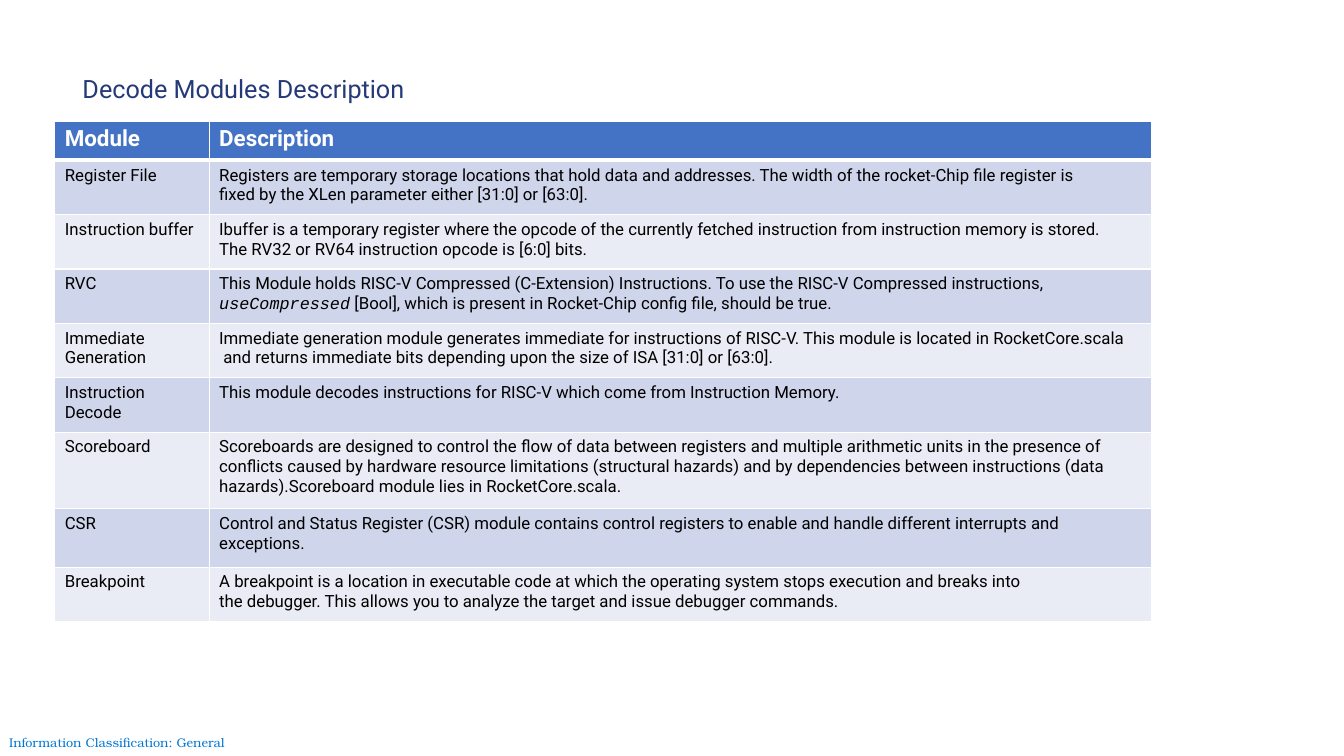
from lxml.etree import SubElement
from pptx import Presentation
from pptx.dml.color import RGBColor
from pptx.enum.text import MSO_ANCHOR as Anchor
from pptx.oxml.ns import qn
from pptx.util import Cm, Pt

WHITE = RGBColor(0xFF, 0xFF, 0xFF)
BLACK = RGBColor(0x00, 0x00, 0x00)
NAVY = RGBColor(0x24, 0x39, 0x78)
HEADER_BLUE = RGBColor(0x44, 0x72, 0xC4)
BANDS = (RGBColor(0xCF, 0xD5, 0xEA), RGBColor(0xE9, 0xEB, 0xF5))
FOOTER_BLUE = RGBColor(0x00, 0x78, 0xD7)

COLUMN_WIDTHS = (3.89, 23.75)
HEADER_HEIGHT = 0.99
ROW_HEIGHT = 1.37

# Module, description paragraphs, row height; backticks enclose code
MODULES = [
    ("Register File",
     ["Registers are temporary storage locations that hold data and addresses. "
      "The width of the rocket-Chip file register is",
      "fixed by the XLen parameter either [31:0] or [63:0]."], ROW_HEIGHT),
    ("Instruction buffer",
     ["Ibuffer is a temporary register where the opcode of the currently fetched "
      "instruction from instruction memory is stored.\n"
      "The RV32 or RV64 instruction opcode is [6:0] bits."], ROW_HEIGHT),
    ("RVC",
     ["This Module holds RISC-V Compressed (C-Extension) Instructions. "
      "To use the RISC-V Compressed instructions,\n"
      "`useCompressed` [Bool], which is present in Rocket-Chip config file, "
      "should be true."], ROW_HEIGHT),
    ("Immediate Generation",
     ["Immediate generation module generates immediate for instructions of RISC-V. "
      "This module is located in RocketCore.scala\n"
      " and returns immediate bits depending upon the size of ISA [31:0] or [63:0]."],
     ROW_HEIGHT),
    ("Instruction Decode",
     ["This module decodes instructions for RISC-V which come from "
      "Instruction Memory."], ROW_HEIGHT),
    ("Scoreboard",
     ["Scoreboards are designed to control the flow of data between registers and "
      "multiple arithmetic units in the presence of conflicts caused by hardware "
      "resource limitations (structural hazards) and by dependencies between "
      "instructions (data hazards).Scoreboard module lies in RocketCore.scala."], 1.93),
    ("CSR",
     ["Control and Status Register (CSR) module contains control registers to enable "
      "and handle different interrupts and exceptions."], 1.47),
    ("Breakpoint",
     ["A breakpoint is a location in executable code at which the operating system "
      "stops execution and breaks into",
      "the debugger. This allows you to analyze the target and issue debugger "
      "commands."], ROW_HEIGHT),
]


class SlideBuilder:
    """Holds the text style and the current slide."""

    body_font = "Roboto"
    code_font = "Courier New"

    def __init__(self, slide):
        self.slide = slide

    def add_run(self, paragraph, text, size, color, font, bold=False, italic=False):
        run = paragraph.add_run()
        run.text = text
        run.font.name = font
        run.font.size = Pt(size)
        run.font.bold = bold
        run.font.italic = italic
        run.font.color.rgb = color

    def text(self, left, top, width, height, text, size, color, font=body_font,
             insets=None, line_spacing=None):
        box = self.slide.shapes.add_textbox(Cm(left), Cm(top), Cm(width), Cm(height))
        frame = box.text_frame
        frame.word_wrap = True
        frame.vertical_anchor = Anchor.MIDDLE
        if insets:
            (frame.margin_left, frame.margin_top,
             frame.margin_right, frame.margin_bottom) = map(Cm, insets)
        paragraph = frame.paragraphs[0]
        paragraph.line_spacing = line_spacing
        self.add_run(paragraph, text, size, color, font)

    def borders(self, cell, bottom_width):
        properties = cell._tc.get_or_add_tcPr()
        for side, width in (("L", 1), ("R", 1), ("T", 1), ("B", bottom_width)):
            line = SubElement(properties, qn(f"a:ln{side}"), w=str(Pt(width)))
            fill = SubElement(line, qn("a:solidFill"))
            SubElement(fill, qn("a:srgbClr"), val=str(WHITE))

    def cell(self, cell, paragraphs, fill, size=12, color=BLACK, bold=False,
             bottom_width=1):
        self.borders(cell, bottom_width)
        cell.fill.solid()
        cell.fill.fore_color.rgb = fill
        frame = cell.text_frame
        for index, text in enumerate(paragraphs):
            paragraph = frame.add_paragraph() if index else frame.paragraphs[0]
            for line_index, line in enumerate(text.split("\n")):
                if line_index:
                    paragraph.add_line_break()
                for part_index, part in enumerate(line.split("`")):
                    is_code = part_index % 2 == 1
                    font = self.code_font if is_code else self.body_font
                    if part:
                        self.add_run(paragraph, part, size, color, font, bold, is_code)

    def module_table(self, left, top, headings, modules):
        heights = [HEADER_HEIGHT] + [height for _, _, height in modules]
        table = self.slide.shapes.add_table(
            len(heights), len(COLUMN_WIDTHS), Cm(left), Cm(top),
            Cm(sum(COLUMN_WIDTHS)), Cm(sum(heights))).table
        for column, width in zip(table.columns, COLUMN_WIDTHS):
            column.width = Cm(width)
        for row, height in zip(table.rows, heights):
            row.height = Cm(height)
        for column, heading in enumerate(headings):
            self.cell(table.cell(0, column), [heading], HEADER_BLUE, 16, WHITE,
                      bold=True, bottom_width=3)
        for row, (name, description, _) in enumerate(modules, start=1):
            band = BANDS[(row - 1) % 2]
            self.cell(table.cell(row, 0), [name], band)
            self.cell(table.cell(row, 1), description, band)


def main():
    presentation = Presentation()
    presentation.slide_width = Cm(33.87)
    presentation.slide_height = Cm(19.05)
    builder = SlideBuilder(presentation.slides.add_slide(presentation.slide_layouts[6]))

    # Classification footer
    builder.text(0, 18.39, 6.2, 0.66, "Information Classification: General", 9,
                 FOOTER_BLUE, "TeX Gyre Bonum", insets=(0.23, 0, 0, 0))

    # Module table
    builder.module_table(1.38, 3.05, ("Module", "Description"), MODULES)

    # Title
    builder.text(1.83, 1.52, 15.57, 1.5, "Decode Modules Description", 18, NAVY,
                 line_spacing=0.9)

    presentation.save("out.pptx")


if __name__ == "__main__":
    main()
